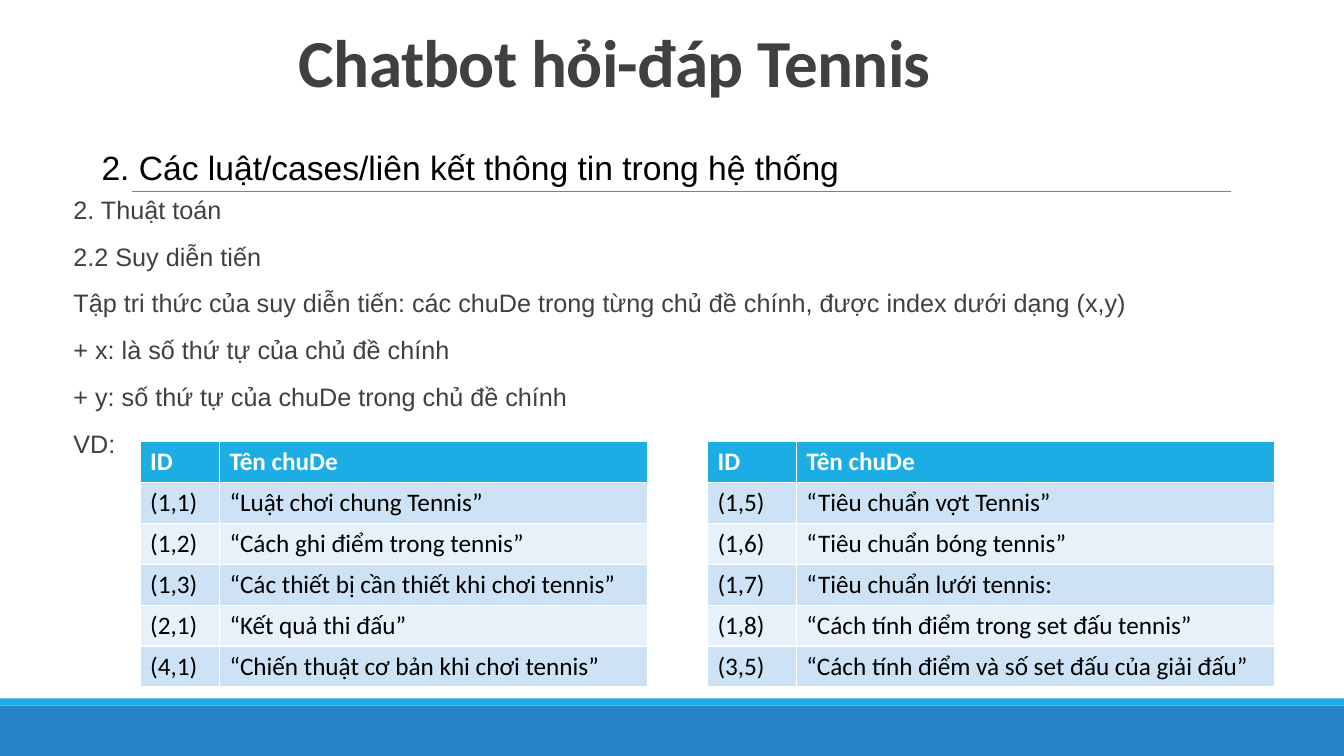
from pptx import Presentation
from pptx import util as u
from pptx.dml.color import RGBColor
from pptx.enum import shapes, text
from pptx.oxml import ns
from lxml import etree

WHITE = RGBColor(0xFF, 0xFF, 0xFF)
BLACK = RGBColor(0x00, 0x00, 0x00)
DARK = RGBColor(0x40, 0x40, 0x40)
GREY = RGBColor(0x80, 0x80, 0x80)
BLUE = RGBColor(0x26, 0x83, 0xC6)
CYAN = RGBColor(0x1C, 0xAD, 0xE4)
BANDS = RGBColor(0xCD, 0xE3, 0xF5), RGBColor(0xE8, 0xF1, 0xFA)

POINTS = [
    "2. Thuật toán",
    "2.2 Suy diễn tiến",
    "Tập tri thức của suy diễn tiến: các chuDe trong từng chủ đề chính, được index dưới dạng (x,y)",
    "+ x: là số thứ tự của chủ đề chính",
    "+ y: số thứ tự của chuDe trong chủ đề chính",
    "VD:",
]
HEAD = ("ID", "Tên chuDe")
LEFT = [
    HEAD,
    ("(1,1)", "“Luật chơi chung Tennis”"),
    ("(1,2)", "“Cách ghi điểm trong tennis”"),
    ("(1,3)", "“Các thiết bị cần thiết khi chơi tennis”"),
    ("(2,1)", "“Kết quả thi đấu”"),
    ("(4,1)", "“Chiến thuật cơ bản khi chơi tennis”"),
]
RIGHT = [
    HEAD,
    ("(1,5)", "“Tiêu chuẩn vợt Tennis”"),
    ("(1,6)", "“Tiêu chuẩn bóng tennis”"),
    ("(1,7)", "“Tiêu chuẩn lưới tennis:"),
    ("(1,8)", "“Cách tính điểm trong set đấu tennis”"),
    ("(3,5)", "“Cách tính điểm và số set đấu của giải đấu”"),
]


def write(par, words, font="Calibri", size=18, color=BLACK, bold=False,
          align=None, line=None, before=None, after=None, track=None):
    run = par.add_run()
    run.text = words
    run.font.name = font
    run.font.size = u.Pt(size)
    run.font.bold = bold
    run.font.color.rgb = color
    if track is not None:
        run.font._element.set("spc", str(round(track * 100)))
    if align is not None:
        par.alignment = align
    if line is not None:
        par.line_spacing = line
    if before is not None:
        par.space_before = u.Pt(before)
    if after is not None:
        par.space_after = u.Pt(after)


class Deck:
    def __init__(self):
        self.prs = Presentation()
        self.prs.slide_width = u.Cm(33.87)
        self.prs.slide_height = u.Cm(19.05)
        self.slide = self.prs.slides.add_slide(self.prs.slide_layouts[1])
        self.items = self.slide.shapes

    def place(self, shape, left, top, width, height):
        shape.left, shape.top = u.Cm(left), u.Cm(top)
        shape.width, shape.height = u.Cm(width), u.Cm(height)
        frame = shape.text_frame
        frame.word_wrap = True
        frame.auto_size = text.MSO_AUTO_SIZE.NONE
        return frame

    def bar(self, top, height, color):
        bar = self.items.add_shape(shapes.MSO_SHAPE.RECTANGLE, 0, u.Cm(top),
                                   self.prs.slide_width, u.Cm(height))
        bar.shadow.inherit = False
        bar.fill.solid()
        bar.fill.fore_color.rgb = color
        bar.line.fill.background()

    def rule(self, left, right, top):
        rule = self.items.add_connector(shapes.MSO_CONNECTOR.STRAIGHT, u.Cm(left),
                                        u.Cm(top), u.Cm(right), u.Cm(top))
        rule.line.color.rgb = GREY
        rule.line.width = u.Pt(0.5)
        etree.SubElement(rule._element.spPr, ns.qn("a:effectLst"))

    def title(self, words, *box):
        frame = self.place(self.items.title, *box)
        frame.vertical_anchor = text.MSO_ANCHOR.BOTTOM
        write(frame.paragraphs[0], words, size=48, color=DARK, bold=True,
              align=text.PP_ALIGN.CENTER, line=0.85, track=-0.5)

    def body(self, lines, *box):
        frame = self.place(self.slide.placeholders[1], *box)
        frame.margin_left = frame.margin_right = 0
        for i, words in enumerate(lines):
            par = frame.add_paragraph() if i else frame.paragraphs[0]
            write(par, words, font="Arial", color=DARK, line=0.9, before=12, after=2)
            props = par._p.get_or_add_pPr()
            props.set("marL", str(u.Cm(0.25)))
            props.set("indent", str(-u.Cm(0.25)))
            etree.SubElement(props, ns.qn("a:buChar"), char=" ")

    def label(self, words, *box):
        frame = self.place(self.items.add_textbox(0, 0, 0, 0), *box)
        write(frame.paragraphs[0], words, font="Arial", size=24)

    def table(self, rows, left, top, widths, height=1.03):
        grid = self.items.add_table(len(rows), len(widths), u.Cm(left), u.Cm(top),
                                    u.Cm(sum(widths)), u.Cm(height * len(rows))).table
        for col, width in zip(grid.columns, widths):
            col.width = u.Cm(width)
        for i, row in enumerate(rows):
            grid.rows[i].height = u.Cm(height)
            for j, words in enumerate(row):
                cell = grid.cell(i, j)
                cell.fill.solid()
                cell.fill.fore_color.rgb = BANDS[(i - 1) % 2] if i else CYAN
                write(cell.text_frame.paragraphs[0], words,
                      color=BLACK if i else WHITE, bold=not i)


def main():
    deck = Deck()
    deck.bar(17.78, 1.27, BLUE)
    deck.bar(17.6, 0.18, CYAN)
    deck.rule(3.33, 31.01, 4.83)
    deck.title("Chatbot hỏi-đáp Tennis", 0, 0.05, 30.99, 2.62)
    deck.body(POINTS, 1.6, 4.85, 32.13, 12.95)
    deck.label("2. Các luật/cases/liên kết thông tin trong hệ thống", 2.31, 3.58, 27.81, 1.27)
    deck.table(LEFT, 3.53, 11.13, (2, 10.8))
    deck.table(RIGHT, 17.83, 11.13, (2.24, 12.06))
    deck.prs.save("out.pptx")


if __name__ == "__main__":
    main()
